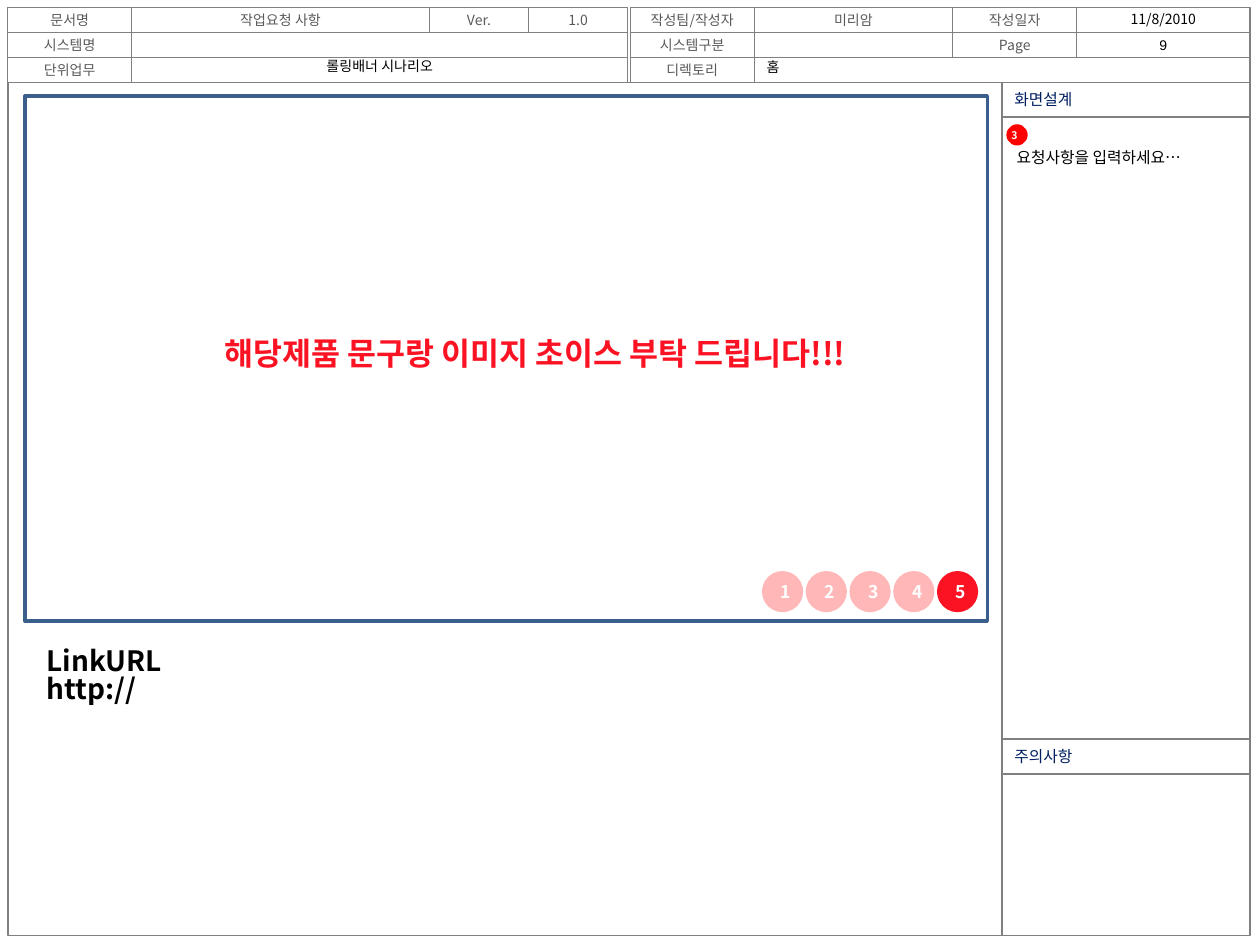
from dataclasses import dataclass
from typing import NamedTuple

from lxml.etree import SubElement
from pptx import Presentation
from pptx.dml.color import RGBColor
from pptx.enum.shapes import MSO_SHAPE
from pptx.enum.text import MSO_ANCHOR, MSO_AUTO_SIZE, PP_ALIGN
from pptx.oxml.ns import qn
from pptx.util import Pt


@dataclass(frozen=True)
class Theme:
    font: str = "Noto Sans CJK KR"
    number_font: str = "Arial"
    grid: str = "808080"
    label: str = "595959"
    heading: str = "002060"
    text: str = "000000"
    frame: str = "3A5F8C"
    accent: str = "FB1324"
    marker: str = "FF0000"
    inactive: str = "FFB7B7"
    white: str = "FFFFFF"
    label_size: float = 8
    body_size: float = 9
    marker_size: float = 6
    button_size: float = 10
    link_size: float = 16
    title_size: float = 18
    thin: float = 0.75
    thick: float = 2


THEME = Theme()


class Area(NamedTuple):
    left: float
    top: float
    width: float
    height: float


class Style(NamedTuple):
    size: float = THEME.label_size
    color: str = THEME.text
    bold: bool = False
    align: PP_ALIGN = PP_ALIGN.LEFT
    font: str = THEME.font


class Cell(NamedTuple):
    row: int
    left: float
    right: float
    text: str = ""


class Note(NamedTuple):
    area: Area
    text: str
    style: Style


def rgb(value: str) -> RGBColor:
    return RGBColor.from_string(value)


def write(shape, text: str, style: Style) -> None:
    """Fill the shape's first paragraph, with one font for Latin and Korean."""
    paragraph = shape.text_frame.paragraphs[0]
    paragraph.text = text
    paragraph.alignment = style.align
    font = paragraph.font
    font.size = Pt(style.size)
    font.bold = style.bold
    font.color.rgb = rgb(style.color)
    font.name = style.font
    properties = paragraph._p.pPr.find(qn("a:defRPr"))
    SubElement(properties, qn("a:ea")).set("typeface", THEME.font)


def add_outline(page, kind, area: Area, line: str, weight: float, fill: str = ""):
    shape = page.shapes.add_shape(kind, *map(Pt, area))
    shape.shadow.inherit = False
    shape.line.color.rgb = rgb(line)
    shape.line.width = Pt(weight)
    if fill:
        shape.fill.solid()
        shape.fill.fore_color.rgb = rgb(fill)
    else:
        shape.fill.background()
    shape.text_frame.vertical_anchor = MSO_ANCHOR.MIDDLE
    return shape


def add_panel(page, area: Area, text: str = "", style: Style = Style()) -> None:
    panel = add_outline(page, MSO_SHAPE.RECTANGLE, area, THEME.grid, THEME.thin)
    if text:
        write(panel, text, style)


def add_circle(page, area: Area, text: str, size: float, color: str, shift: float) -> None:
    """Draw a numbered disc whose digit sits `shift` points right of centre."""
    circle = add_outline(page, MSO_SHAPE.OVAL, area, color, THEME.thin, color)
    frame = circle.text_frame
    frame.word_wrap = False
    frame.margin_top = frame.margin_bottom = 0
    frame.margin_left = Pt(max(2 * shift, 0))
    frame.margin_right = Pt(max(-2 * shift, 0))
    write(circle, text, Style(size, THEME.white, True, PP_ALIGN.CENTER))


def add_note(page, note: Note):
    box = page.shapes.add_textbox(*map(Pt, note.area))
    box.text_frame.word_wrap = True
    write(box, note.text, note.style)
    return box


LEFT, TOP, RIGHT, BOTTOM = 4.5, 4.5, 714.3, 534.5
ROW = 14.17
HEADER_END = TOP + 3 * ROW
SIDE = 572.6
SIDE_HEADING = 19.9
CAUTION_TOP = 422.4
# Column edges of the left and right header blocks
A1, A2, A3, A4 = 75.3, 245.4, 302.1, 358.8
B0, B1, B2, B3 = 360.2, 431, 544.4, 615.3

HEADER = [
    Cell(0, LEFT, A1, "문서명"), Cell(0, A1, A2, "작업요청 사항"),
    Cell(0, A2, A3, "Ver."), Cell(0, A3, A4, "1.0"),
    Cell(0, B0, B1, "작성팀/작성자"), Cell(0, B1, B2, "미리암"),
    Cell(0, B2, B3, "작성일자"), Cell(0, B3, RIGHT),
    Cell(1, LEFT, A1, "시스템명"), Cell(1, A1, A4),
    Cell(1, B0, B1, "시스템구분"), Cell(1, B1, B2),
    Cell(1, B2, B3, "Page"), Cell(1, B3, RIGHT),
    Cell(2, LEFT, A1, "단위업무"), Cell(2, A1, A4),
    Cell(2, B0, B1, "디렉토리"), Cell(2, B1, RIGHT),
]

CENTERED = Style(align=PP_ALIGN.CENTER)
NOTES = [
    Note(Area(B3, 17.4, 99, 17.3), "9", CENTERED._replace(font=THEME.number_font)),
    Note(Area(B3, 2.2, 99, 17.3), "11/8/2010", CENTERED),
    Note(Area(B1, 30.2, 30, 17.3), "홈", Style(font=THEME.number_font)),
    Note(Area(A1, 29.6, A4 - A1, 17.3), "롤링배너 시나리오", CENTERED),
    Note(Area(573.8, 81.1, 140.5, 34), "요청사항을 입력하세요…", Style(THEME.body_size)),
]
LINK = Note(Area(19.5, 367.7, 137, 46), "LinkURL\vhttp://",
            Style(THEME.link_size, bold=True))

BUTTON_LEFT, BUTTON_TOP, BUTTON_SIZE, BUTTON_STEP = 435.8, 326.7, 22.8, 25
BUTTON_COUNT = 5


def add_header(page) -> None:
    style = Style(color=THEME.label, align=PP_ALIGN.CENTER)
    for cell in HEADER:
        area = Area(cell.left, TOP + cell.row * ROW, cell.right - cell.left, ROW)
        add_panel(page, area, cell.text, style)


def add_body_panels(page) -> None:
    add_panel(page, Area(LEFT, HEADER_END, SIDE - LEFT, BOTTOM - HEADER_END))
    heading = Style(THEME.body_size, THEME.heading)
    sections = [("화면설계", HEADER_END, CAUTION_TOP), ("주의사항", CAUTION_TOP, BOTTOM)]
    for title, top, bottom in sections:
        body_top = top + SIDE_HEADING
        add_panel(page, Area(SIDE, top, RIGHT - SIDE, SIDE_HEADING), title, heading)
        add_panel(page, Area(SIDE, body_top, RIGHT - SIDE, bottom - body_top))


def set_title(page) -> None:
    title = page.shapes.title
    title.left, title.top, title.width, title.height = map(Pt, (76.3, 187.4, 414, 33))
    title.text_frame.auto_size = MSO_AUTO_SIZE.NONE
    title.text_frame.vertical_anchor = MSO_ANCHOR.TOP
    write(title, "해당제품 문구랑 이미지 초이스 부탁 드립니다!!!",
          Style(THEME.title_size, THEME.accent, True, PP_ALIGN.RIGHT))


def main() -> None:
    deck = Presentation()
    deck.slide_width, deck.slide_height = Pt(720), Pt(540)
    page = deck.slides.add_slide(deck.slide_layouts[5])
    set_title(page)
    add_header(page)
    add_body_panels(page)
    add_outline(page, MSO_SHAPE.RECTANGLE, Area(14.2, 54.9, 550, 300),
                THEME.frame, THEME.thick)
    for note in NOTES:
        add_note(page, note)
    link = add_note(page, LINK)
    link.text_frame.paragraphs[0].line_spacing = 0.82
    add_circle(page, Area(575.5, 71.4, 11.4, 11.4), "3", THEME.marker_size,
               THEME.marker, -1.5)
    for index in range(BUTTON_COUNT):
        area = Area(BUTTON_LEFT + index * BUTTON_STEP, BUTTON_TOP, BUTTON_SIZE, BUTTON_SIZE)
        color = THEME.accent if index == BUTTON_COUNT - 1 else THEME.inactive
        add_circle(page, area, str(index + 1), THEME.button_size, color, 2)
    deck.save("out.pptx")


if __name__ == "__main__":
    main()
